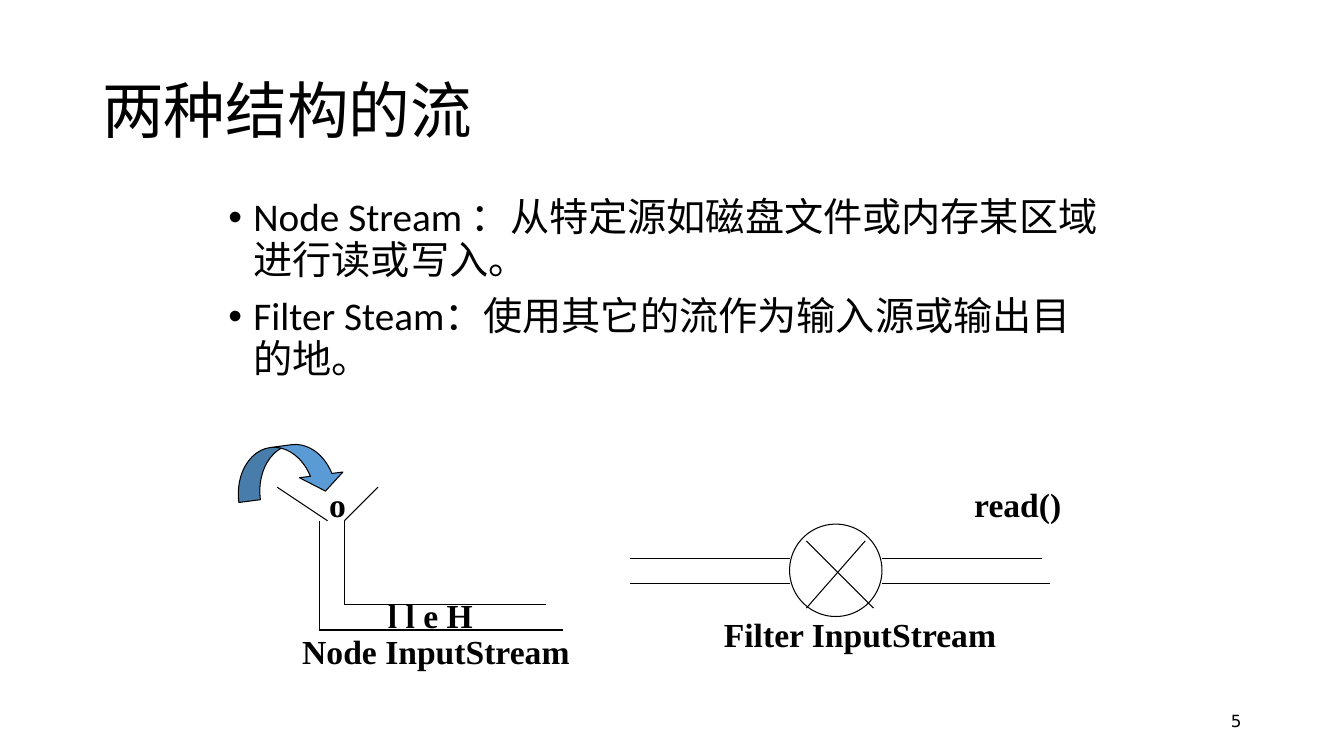
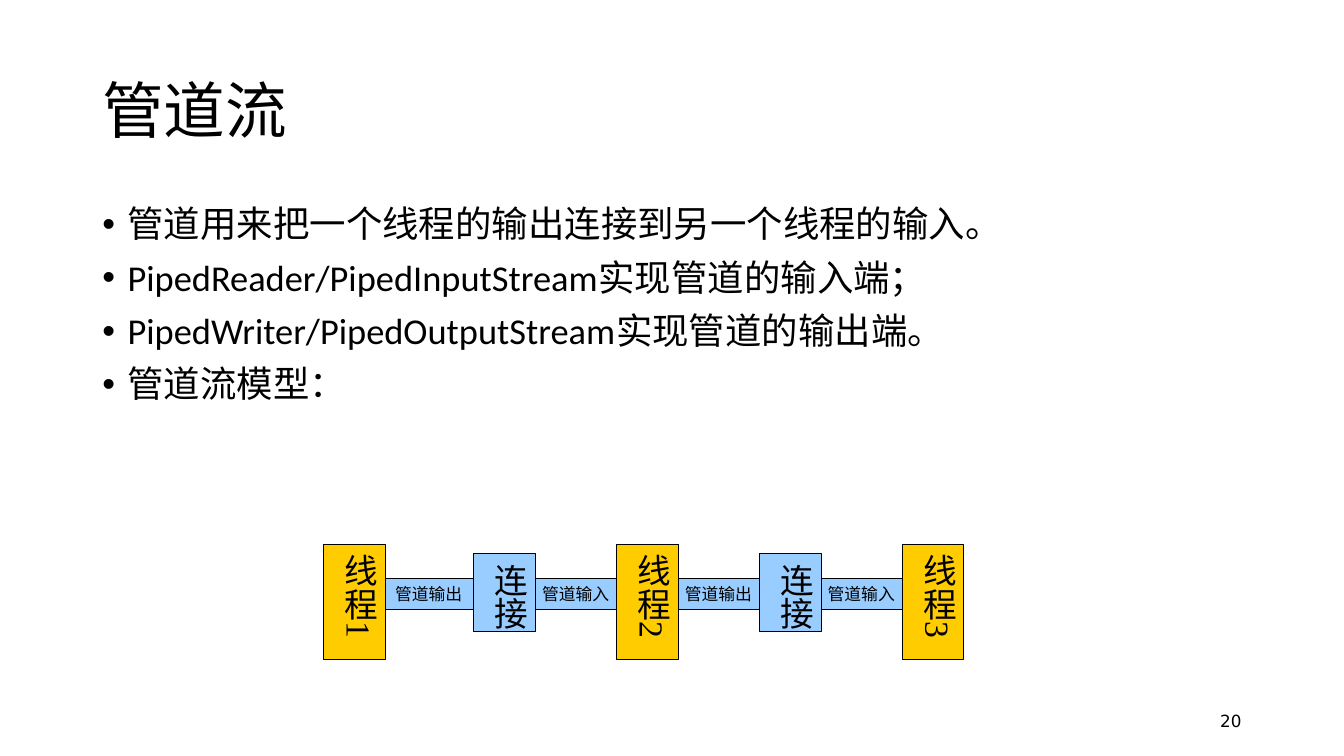
from collections import namedtuple

from lxml import etree
from pptx import Presentation
from pptx.dml.color import RGBColor
from pptx.enum.shapes import MSO_CONNECTOR, MSO_SHAPE
from pptx.enum.text import MSO_ANCHOR, MSO_AUTO_SIZE, PP_ALIGN
from pptx.oxml.ns import qn
from pptx.util import Inches, Pt

LINE = MSO_CONNECTOR.STRAIGHT
RECT, OVAL = MSO_SHAPE.RECTANGLE, MSO_SHAPE.OVAL
CURVE = MSO_SHAPE.CURVED_RIGHT_ARROW
TOP, MID = MSO_ANCHOR.TOP, MSO_ANCHOR.MIDDLE
LEFT, RIGHT = PP_ALIGN.LEFT, PP_ALIGN.RIGHT
GROW = MSO_AUTO_SIZE.SHAPE_TO_FIT_TEXT

Box = namedtuple("Box", "x y w h")
Theme = namedtuple("Theme", "ink paper blue pale gold sans serif num_font "
                   "title body list label small edge")
THEME = Theme(ink="000000", paper="FFFFFF", blue="5B9BD5", pale="99CCFF",
              gold="FFCC00", sans="Calibri", serif="Times New Roman",
              num_font="DejaVu Sans", title=44, body=28, list=26,
              label=24, small=12, edge=0.75)

# The slide is a grid of 160 columns by 90 rows.
COLS, ROWS = 160, 90
WIDE, HIGH = Inches(13.33), Inches(7.5)
TITLE = Box(11, 4.8, 138, 17.4)
NUMBER = Box(113, 83.4, 36, 4.8)


def col(n):
    """Turn grid columns into a length."""
    return round(WIDE * n / COLS)


def row(n):
    """Turn grid rows into a length."""
    return round(HIGH * n / ROWS)


def place(box):
    """Turn a grid box into left, top, width and height."""
    return col(box.x), row(box.y), col(box.w), row(box.h)


def inside(box, x, y, w, h):
    """Give a box set relative to the corner of another."""
    return Box(box.x + x, box.y + y, w, h)


def tint(text):
    """Turn a hex string into a colour."""
    return RGBColor.from_string(text)


def write(shape, text, size, font=THEME.serif, bold=False, align=LEFT,
          anchor=TOP, wrap=False, space=None, before=0, bullet=False,
          vert=None):
    """Write each line of the text as a paragraph of the shape."""
    frame = shape.text_frame
    frame.word_wrap = wrap
    frame.auto_size = None if wrap else GROW
    frame.vertical_anchor = anchor
    if vert:
        shape.element.find(".//" + qn("a:bodyPr")).set("vert", vert)
    frame.text = text
    for para in frame.paragraphs:
        para.alignment = align
        para.line_spacing = space
        para.space_before = Pt(before)
        for run in para.runs:
            run.font.name = font
            run.font.size = Pt(size)
            run.font.bold = bold
            run.font.color.rgb = tint(THEME.ink)
        if bullet:
            props = para._p.get_or_add_pPr()
            props.set("marL", str(Inches(0.25)))
            props.set("indent", str(-Inches(0.25)))
            etree.SubElement(props, qn("a:buFont")).set("typeface", "Arial")
            etree.SubElement(props, qn("a:buChar")).set("char", "•")


def words(canvas, box, text, size, **form):
    """Add a text box."""
    write(canvas.add_textbox(*place(box)), text, size, **form)


def label(canvas, box, text):
    """Add a bold figure label."""
    words(canvas, box, text, THEME.label, bold=True)


def solid(canvas, kind, box, fill):
    """Add a filled shape with a thin outline."""
    shape = canvas.add_shape(kind, *place(box))
    shape.shadow.inherit = False
    shape.fill.solid()
    shape.fill.fore_color.rgb = tint(fill)
    shape.line.color.rgb = tint(THEME.ink)
    shape.line.width = Pt(THEME.edge)
    return shape


def strokes(canvas, box, ends):
    """Draw thin lines between points relative to the box."""
    for x1, y1, x2, y2 in ends:
        line = canvas.add_connector(LINE, col(box.x + x1), row(box.y + y1),
                                    col(box.x + x2), row(box.y + y2))
        line.line.color.rgb = tint(THEME.ink)
        line.line.width = Pt(THEME.edge)
        etree.SubElement(line.element.spPr, qn("a:effectLst"))


def page(deck, title, number, box, points, size):
    """Add a slide with title, number and bullet list."""
    slide = deck.slides.add_slide(deck.slide_layouts[6])
    slide.background.fill.solid()
    slide.background.fill.fore_color.rgb = tint(THEME.paper)
    canvas = slide.shapes
    words(canvas, NUMBER, number, THEME.small, font=THEME.num_font,
          align=RIGHT, anchor=MID, wrap=True)
    words(canvas, TITLE, title, THEME.title, font=THEME.sans, anchor=MID,
          wrap=True, space=0.9)
    words(canvas, box, "\n".join(points), size, font=THEME.sans, wrap=True,
          space=0.9, before=10, bullet=True)
    return canvas


def node(canvas, box):
    """Draw the funnel and bent pipe of a node stream."""
    part = canvas.add_group_shape().shapes
    strokes(part, box, [(5, 9, 11, 13), (17, 9, 13, 13),
                        (10, 13, 10, 26), (10, 26, 39, 26),
                        (13, 13, 13, 23), (13, 23, 37, 23)])
    arrow = solid(part, CURVE, inside(box, 3.5, 0.5, 6, 13), THEME.blue)
    for k, share in enumerate((0.43, 0.87, 0.33)):
        arrow.adjustments[k] = share
    arrow.rotation = 262.5
    arrow.element.find(".//" + qn("a:xfrm")).set("flipH", "1")
    label(part, inside(box, 17, 21.2, 12.5, 6), "l l e H")
    label(part, inside(box, 10, 8, 4.4, 6), "o")
    label(part, inside(box, 6.8, 25.5, 34.3, 6), "Node InputStream")


def valve(canvas, box):
    """Draw the pipe and crossed circle of a filter stream."""
    part = canvas.add_group_shape().shapes
    strokes(part, box, [(0, 9.5, 19, 9.5), (0, 12.5, 19, 12.5),
                        (30, 9.5, 49, 9.5), (30, 12.5, 50, 12.5)])
    solid(part, OVAL, inside(box, 19, 5.4, 11, 11), THEME.paper)
    strokes(part, box, [(21, 7.4, 29, 15.4), (28, 7.4, 21, 15.4)])
    label(part, inside(box, 10, 15.5, 34.9, 6), "Filter InputStream")
    label(part, inside(box, 39.8, 0, 12.8, 6), "read()")


def chain(canvas, box, names, pipes):
    """Draw threads and links in turn, joined by pipes."""
    part = canvas.add_group_shape().shapes
    step, lead, wide, lap = 17, 0.9, 10.55, 0.5
    lefts = [k * step + (lead if k else 0) for k in range(len(names))]
    for k, left in enumerate(lefts[1:]):
        start = left - wide + (lap if k else 0)
        pipe = solid(part, RECT, inside(box, start, 4.1, wide, 3.7),
                     THEME.pale)
        write(pipe, pipes[k % 2], THEME.small)
    for k, (left, name) in enumerate(zip(lefts, names)):
        top, high, fill = ((1.1, 9.25, THEME.pale) if k % 2
                           else (0, box.h, THEME.gold))
        block = solid(part, RECT, inside(box, left, top, 7.35, high), fill)
        write(block, name, THEME.label, vert="eaVert")


def main():
    """Build both slides and save them."""
    deck = Presentation()
    deck.slide_width, deck.slide_height = WIDE, HIGH
    canvas = page(deck, "两种结构的流", "5", Box(26, 23, 107.3, 54.7),
                  ["Node Stream ：从特定源如磁盘文件或内存某区域进行读或写入。",
                   "Filter Steam：使用其它的流作为输入源或输出目的地。"],
                  THEME.body)
    node(canvas, Box(28, 49, 42, 32))
    valve(canvas, Box(75, 57, 53, 22))
    canvas = page(deck, "管道流", "20", Box(11, 24, 138, 57.1),
                  ["管道用来把一个线程的输出连接到另一个线程的输入。",
                   "PipedReader/PipedInputStream实现管道的输入端；",
                   "PipedWriter/PipedOutputStream实现管道的输出端。",
                   "管道流模型："],
                  THEME.list)
    chain(canvas, Box(38.5, 64.8, 76.3, 13.7),
          ["线程1", "连接", "线程2", "连接", "线程3"],
          ["管道输出", "管道输入"])
    deck.save("out.pptx")


main()
